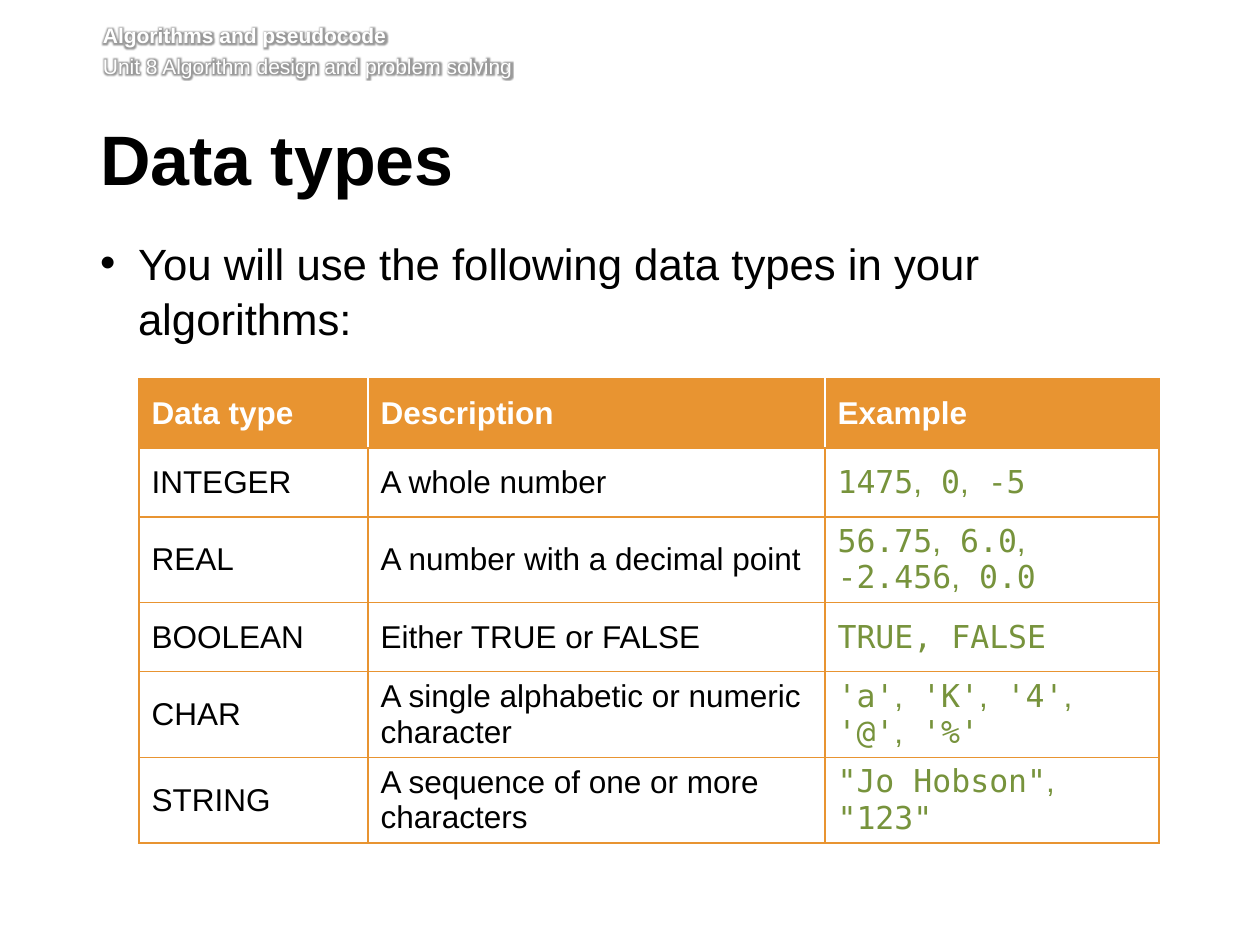
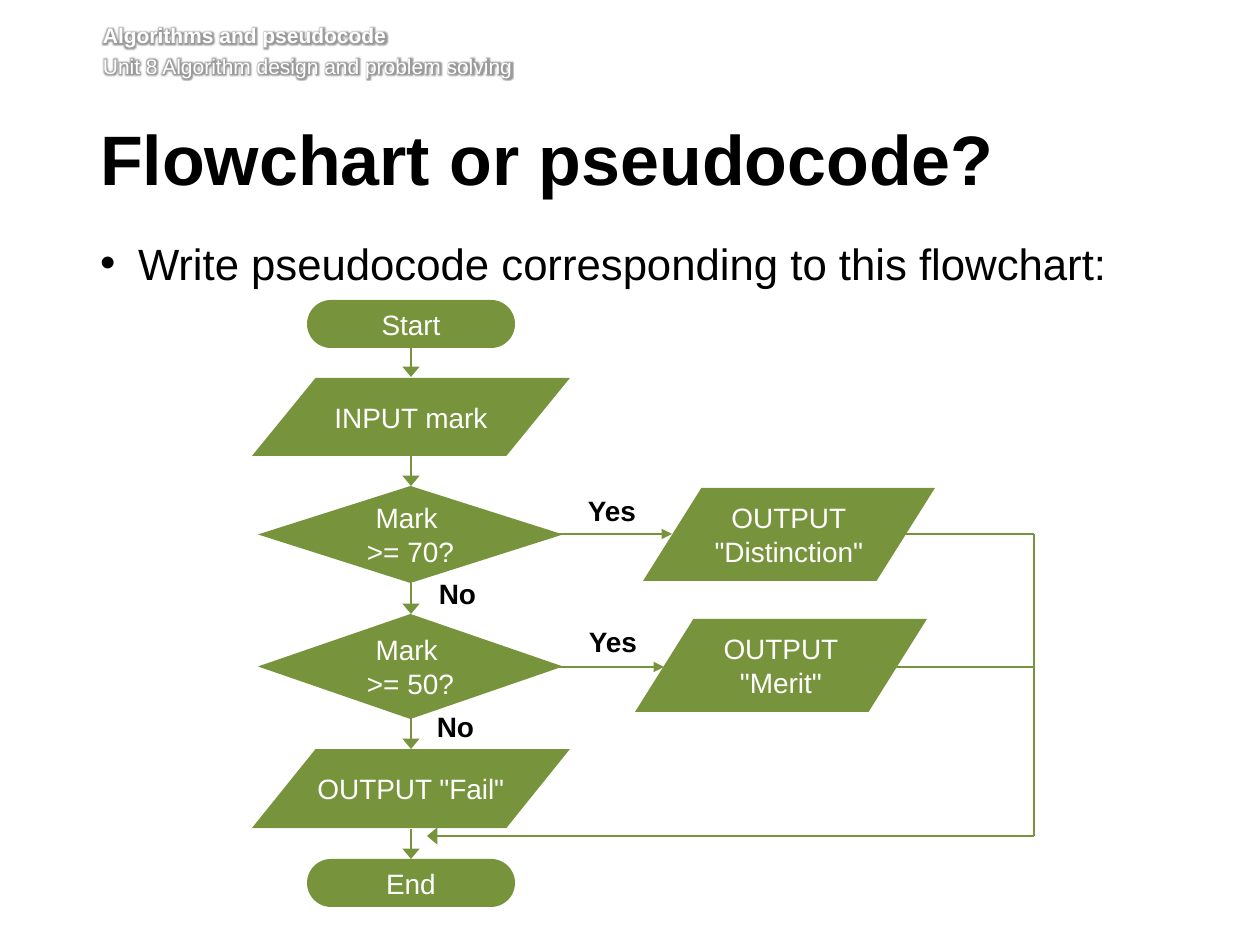
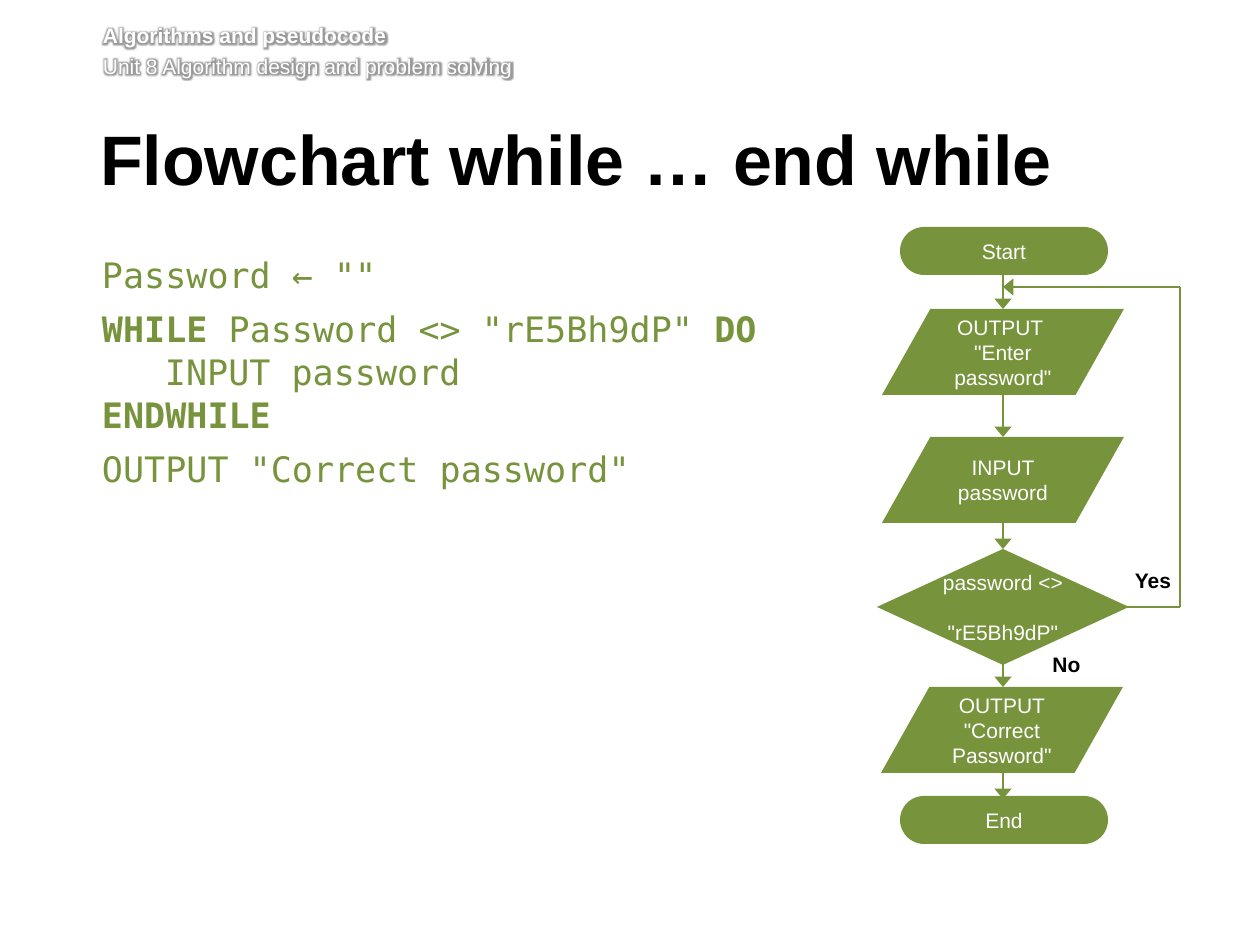
from dataclasses import dataclass, replace
from typing import Optional

from lxml.etree import SubElement
from pptx import Presentation
from pptx.dml.color import RGBColor
from pptx.enum.shapes import MSO_CONNECTOR as Link, MSO_SHAPE as Form
from pptx.enum.text import MSO_ANCHOR as Anchor, MSO_AUTO_SIZE as Fit, PP_ALIGN as Align
from pptx.oxml.ns import qn
from pptx.util import Emu, Pt

SCALE = 914400 / 126
HUES = {"ink": "000000", "paper": "FFFFFF", "leaf": "77933C", "sun": "E89431"}
SANS = "Arial"
MONO = "DejaVu Sans Mono"


def px(n: int) -> Emu:
    return Emu(round(n * SCALE))


def hue(name: str) -> RGBColor:
    return RGBColor.from_string(HUES[name])


@dataclass(frozen=True)
class Box:
    x: int
    y: int
    w: int
    h: int

    def emu(self) -> tuple:
        return px(self.x), px(self.y), px(self.w), px(self.h)


@dataclass(frozen=True)
class Style:
    size: int
    hue: str = "ink"
    face: str = SANS
    bold: bool = False
    align: Align = Align.LEFT
    before: float = 0
    after: float = 0
    lead: object = None
    dent: Optional[int] = None
    tabs: tuple = ()
    odd_face: Optional[str] = None
    odd_bold: bool = False
    glow: bool = False


@dataclass(frozen=True)
class Node:
    form: Form
    box: Box
    text: str
    pad: tuple = (13, 6)


@dataclass(frozen=True)
class Tag:
    text: str
    box: Box


@dataclass(frozen=True)
class Line:
    x1: int
    y1: int
    x2: int
    y2: int
    head: Optional[str] = None


HEAD = Style(12, "paper", before=2.9, odd_bold=True, glow=True)
TITLE = Style(40, bold=True, after=15, lead=Pt(39))
LIST = Style(25, after=14, lead=1.05, dent=38)
CODE = Style(20, "leaf", MONO, after=6, lead=1.03, dent=0, tabs=(62, 112), odd_bold=True)
CELL = Style(18)
TOP = replace(CELL, hue="paper", bold=True)
SAMPLE = replace(CELL, hue="leaf", face=MONO, odd_face=SANS)


def add_glow(run) -> None:
    effects = SubElement(run._r.get_or_add_rPr(), qn("a:effectLst"))
    glow = SubElement(effects, qn("a:glow"), rad="63500")
    tint = SubElement(glow, qn("a:srgbClr"), val=HUES["ink"])
    SubElement(tint, qn("a:alpha"), val="40000")


def set_dent(para, style: Style) -> None:
    props = para._p.get_or_add_pPr()
    props.set("marL", str(px(style.dent)))
    props.set("indent", str(-px(style.dent)))
    if not style.dent:
        SubElement(props, qn("a:buNone"))
    if style.tabs:
        stops = SubElement(props, qn("a:tabLst"))
        for stop in style.tabs:
            SubElement(stops, qn("a:tab"), pos=str(px(stop)), algn="l")


def write(frame, text: str, style: Style) -> None:
    for i, row in enumerate(text.split("\n")):
        para = frame.add_paragraph() if i else frame.paragraphs[0]
        para.alignment = style.align
        para.space_before = Pt(style.before if i else 0)
        para.space_after = Pt(style.after)
        if style.lead:
            para.line_spacing = style.lead
        if style.dent is not None:
            set_dent(para, style)
        font = para.font
        font.size, font.name, font.bold = Pt(style.size), style.face, style.bold
        font.color.rgb = hue(style.hue)
        for j, part in enumerate(row.split("|")):
            for k, bit in enumerate(part.split("\v")):
                if k:
                    para.add_line_break()
                if not bit:
                    continue
                run = para.add_run()
                run.text = bit
                if j % 2 and style.odd_face:
                    run.font.name = style.odd_face
                if j % 2 and style.odd_bold:
                    run.font.bold = True
                if style.glow:
                    add_glow(run)


def set_frame(frame, pads: tuple, anchor: Anchor = Anchor.TOP, fit: Fit = Fit.NONE) -> None:
    frame.word_wrap = True
    frame.auto_size = fit
    frame.vertical_anchor = anchor
    (frame.margin_left, frame.margin_top,
     frame.margin_right, frame.margin_bottom) = map(px, pads)


def fill_holder(shape, box: Box, text: str, style: Style, pads: tuple) -> None:
    shape.left, shape.top, shape.width, shape.height = box.emu()
    set_frame(shape.text_frame, pads)
    write(shape.text_frame, text, style)


def add_slide(deck, title: str, body: str, style: Style = LIST,
              box: Box = Box(100, 234, 1075, 476), wide: int = 1077):
    slide = deck.slides.add_slide(deck.slide_layouts[1])
    head = slide.shapes.add_textbox(*Box(103, 23, 1111, 62).emu()).text_frame
    set_frame(head, (0, 0, 0, 6))
    write(head, "|Algorithms and pseudocode\nUnit 8 Algorithm design and problem solving", HEAD)
    fill_holder(slide.shapes.title, Box(100, 125, wide, 92), title, TITLE, (0, 6, 13, 6))
    fill_holder(slide.placeholders[1], box, body, style, (0, 0, 13, 6))
    return slide


def add_line(slide, line: Line) -> None:
    link = slide.shapes.add_connector(
        Link.STRAIGHT, *map(px, (line.x1, line.y1, line.x2, line.y2)))
    link.line.color.rgb = hue("leaf")
    link.line.width = Pt(1.5)
    if line.head:
        SubElement(link.line._get_or_add_ln(), qn("a:tailEnd"),
                   type="triangle", w=line.head, len="med")
    SubElement(link._element.spPr, qn("a:effectLst"))


def add_node(slide, node: Node, size: int) -> None:
    shape = slide.shapes.add_shape(node.form, *node.box.emu())
    if node.form == Form.ROUNDED_RECTANGLE:
        shape.adjustments[0] = 0.5
    shape.shadow.inherit = False
    shape.fill.solid()
    shape.fill.fore_color.rgb = hue("leaf")
    shape.line.fill.background()
    set_frame(shape.text_frame, node.pad * 2, Anchor.MIDDLE)
    write(shape.text_frame, node.text, Style(size, "paper", align=Align.CENTER))


def add_tag(slide, tag: Tag, size: int) -> None:
    frame = slide.shapes.add_textbox(*tag.box.emu()).text_frame
    set_frame(frame, (13, 6, 13, 6), fit=Fit.SHAPE_TO_FIT_TEXT)
    write(frame, tag.text, Style(size, bold=True, align=Align.CENTER))


def add_chart(slide, size: int, lines: list, nodes: list, tags: list) -> None:
    for line in lines:
        add_line(slide, line)
    for node in nodes:
        add_node(slide, node, size)
    for tag in tags:
        add_tag(slide, tag, size)


def drops(x: int, spans: list) -> list:
    return [Line(x, top, x, end, "lg") for top, end in spans]


def add_edge(cell, side: str, name: str) -> None:
    edge = SubElement(cell._tc.get_or_add_tcPr(), qn(f"a:ln{side}"), w=str(Pt(1)))
    fill = SubElement(edge, qn("a:solidFill"))
    SubElement(fill, qn("a:srgbClr"), val=HUES[name])


def add_grid(slide, rows: list, wides: tuple, box: Box) -> None:
    last = len(wides) - 1
    grid = slide.shapes.add_table(len(rows), len(wides), *box.emu()).table
    grid.horz_banding = False
    for col, wide in zip(grid.columns, wides):
        col.width = px(wide)
    for r, row in enumerate(rows):
        grid.rows[r].height = px(box.h // len(rows))
        for c, text in enumerate(row):
            cell = grid.cell(r, c)
            add_edge(cell, "L", "paper" if r == 0 and c > 0 else "sun")
            add_edge(cell, "R", "paper" if r == 0 and c < last else "sun")
            add_edge(cell, "T", "sun")
            add_edge(cell, "B", "sun")
            if r:
                cell.fill.background()
            else:
                cell.fill.solid()
                cell.fill.fore_color.rgb = hue("sun")
            cell.vertical_anchor = Anchor.MIDDLE
            style = TOP if r == 0 else SAMPLE if c == last else CELL
            write(cell.text_frame, text, style)


def draw_types(deck) -> None:
    slide = add_slide(deck, "Data types",
                      "You will use the following data types in your algorithms:")
    rows = [
        ("Data type", "Description", "Example"),
        ("INTEGER", "A whole number", "1475|,| 0|,| -5"),
        ("REAL", "A number with a decimal point", "56.75|,| 6.0|,\v|-2.456|,| 0.0"),
        ("BOOLEAN", "Either TRUE or FALSE", "TRUE, FALSE"),
        ("CHAR", "A single alphabetic or numeric character",
         "'a'|,| 'K'|,| '4'|,| '@'|,| '%'"),
        ("STRING", "A sequence of one or more characters", '"Jo Hobson"|,| "123"'),
    ]
    add_grid(slide, rows, (229, 457, 334), Box(139, 379, 1020, 414))


def draw_marks(deck) -> None:
    slide = add_slide(deck, "Flowchart or pseudocode?",
                      "Write pseudocode corresponding to this flowchart:")
    lines = drops(411, [(346, 377), (455, 486), (583, 614), (718, 749), (829, 859)]) + [
        Line(541, 534, 672, 534, "med"),
        Line(541, 667, 664, 667, "med"),
        Line(897, 534, 1034, 534),
        Line(890, 667, 1034, 667),
        Line(1034, 534, 1034, 836),
        Line(1034, 836, 427, 836, "lg"),
    ]
    nodes = [
        Node(Form.ROUNDED_RECTANGLE, Box(307, 300, 208, 48), "Start"),
        Node(Form.FLOWCHART_DATA, Box(252, 378, 318, 78), "INPUT mark", (0, 5)),
        Node(Form.FLOWCHART_DECISION, Box(258, 486, 305, 97), "Mark \v>= 70?", (0, 0)),
        Node(Form.FLOWCHART_DECISION, Box(258, 614, 305, 105), "Mark \v>= 50?", (0, 0)),
        Node(Form.FLOWCHART_DATA, Box(643, 488, 292, 93), 'OUTPUT\n"Distinction"'),
        Node(Form.FLOWCHART_DATA, Box(635, 619, 292, 93), 'OUTPUT\n"Merit"'),
        Node(Form.FLOWCHART_DATA, Box(252, 749, 318, 79), 'OUTPUT "Fail"', (0, 0)),
        Node(Form.ROUNDED_RECTANGLE, Box(307, 859, 208, 48), "End"),
    ]
    tags = [
        Tag("Yes", Box(566, 488, 92, 47)),
        Tag("No", Box(418, 571, 79, 47)),
        Tag("Yes", Box(571, 619, 84, 47)),
        Tag("No", Box(416, 703, 79, 47)),
    ]
    add_chart(slide, 16, lines, nodes, tags)


def draw_while(deck) -> None:
    code = ('Password ← ""\n'
            '|WHILE| Password <> "rE5Bh9dP" |DO|\v\tINPUT password\v|ENDWHILE\n'
            'OUTPUT "Correct password"')
    slide = add_slide(deck, "Flowchart while … end while", code, CODE,
                      Box(102, 252, 766, 408), 1114)
    lines = drops(1003, [(249, 309), (378, 437), (490, 549), (663, 687), (765, 799)]) + [
        Line(1116, 607, 1180, 607),
        Line(1180, 287, 1180, 607),
        Line(1180, 287, 1003, 287, "lg"),
    ]
    nodes = [
        Node(Form.ROUNDED_RECTANGLE, Box(900, 227, 208, 48), "Start"),
        Node(Form.FLOWCHART_DATA, Box(882, 309, 242, 86), 'OUTPUT \v"Enter password"'),
        Node(Form.FLOWCHART_DATA, Box(882, 437, 242, 86), "INPUT password"),
        Node(Form.FLOWCHART_DECISION, Box(877, 549, 252, 116),
             'password <> \v"rE5Bh9dP"', (0, 6)),
        Node(Form.FLOWCHART_DATA, Box(881, 687, 242, 86), 'OUTPUT\n"Correct Password"'),
        Node(Form.ROUNDED_RECTANGLE, Box(900, 796, 208, 48), "End"),
    ]
    tags = [
        Tag("Yes", Box(1121, 562, 64, 38)),
        Tag("No", Box(1021, 646, 91, 38)),
    ]
    add_chart(slide, 12, lines, nodes, tags)


def main() -> None:
    deck = Presentation()
    deck.slide_width, deck.slide_height = px(1260), px(945)
    for draw in (draw_types, draw_marks, draw_while):
        draw(deck)
    deck.save("out.pptx")


if __name__ == "__main__":
    main()
